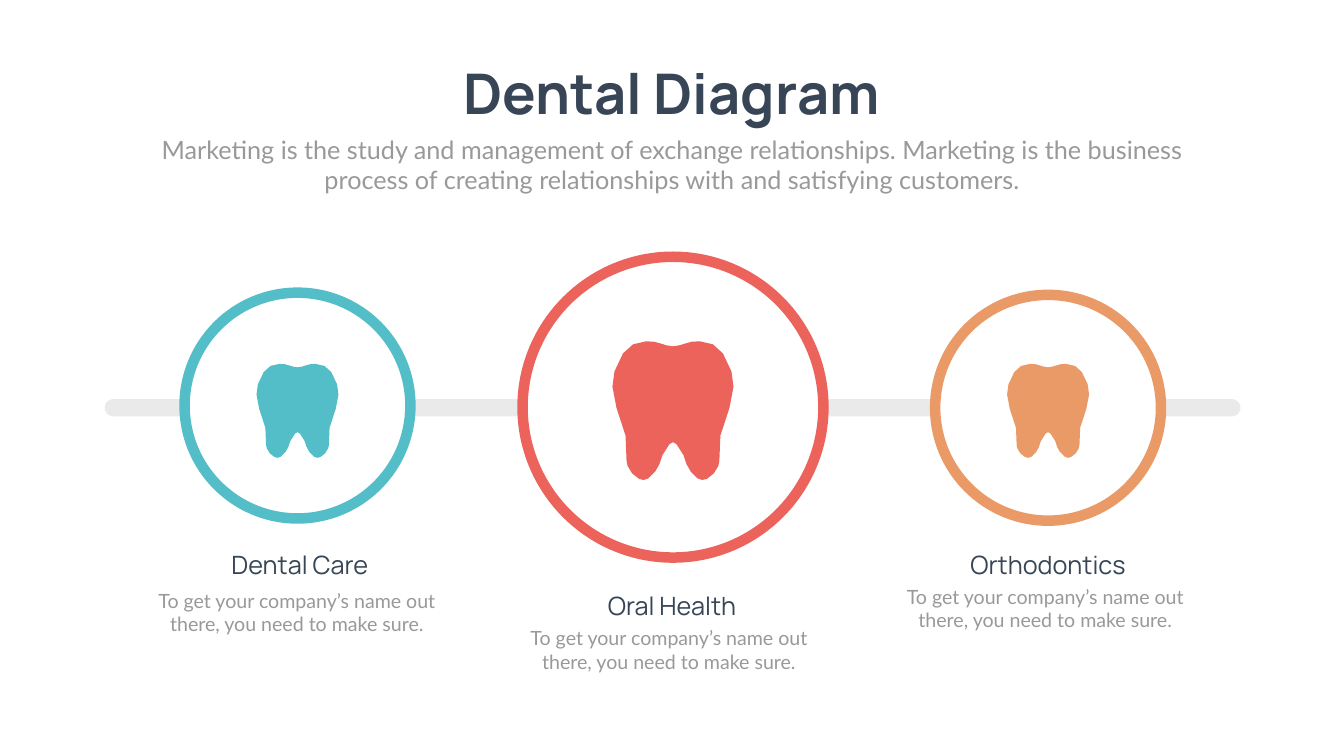
"""Build the dental diagram slide with three ringed teeth on a track."""
from dataclasses import dataclass

from pptx import Presentation
from pptx.dml.color import RGBColor
from pptx.enum.shapes import MSO_SHAPE
from pptx.enum.text import PP_ALIGN
from pptx.shapes.autoshape import Shape
from pptx.slide import Slide
from pptx.util import Cm, Pt

COLORS = {
    "background": "FEFFFE", "ink": "374556", "muted": "999999", "track": "EAEAEA",
    "white": "FFFFFF", "teal": "53BEC7", "red": "EB635B", "orange": "EA9A67",
}
FORMATS = {
    "title": {"name": "Manrope", "size": Pt(80), "bold": True},
    "subtitle": {"name": "Lato", "size": Pt(36), "bold": False},
    "heading": {"name": "Manrope", "size": Pt(36), "bold": False},
    "caption": {"name": "Lato", "size": Pt(28), "bold": False},
}
TEXT_COLORS = {"title": "ink", "subtitle": "muted", "heading": "ink", "caption": "muted"}

CAPTION = "To get your company’s name out there, you need to make sure."
TOOTH_WIDTH = 2.4
HALF_TOOTH = [
    (0, 0.1), (0.13, 0.08), (0.26, 0.04), (0.37, 0.01), (0.53, 0), (0.79, 0.06),
    (0.99, 0.24), (1.16, 0.6), (1.2, 0.9), (1.12, 1.32), (0.94, 1.87), (0.92, 2.37),
    (0.9, 2.47), (0.81, 2.62), (0.67, 2.73), (0.58, 2.75), (0.49, 2.72), (0.35, 2.58),
    (0.27, 2.44), (0.21, 2.26), (0.07, 2.04), (0, 2),
]
TOOTH = HALF_TOOTH + [(-x, y) for x, y in reversed(HALF_TOOTH[1:-1])]


@dataclass(frozen=True)
class Box:
    left: float
    top: float
    width: float
    height: float

    def lengths(self) -> tuple[Cm, Cm, Cm, Cm]:
        return Cm(self.left), Cm(self.top), Cm(self.width), Cm(self.height)


@dataclass(frozen=True)
class Stage:
    name: str
    color: str
    ring: Box
    tooth_top: float
    tooth_width: float
    heading: Box
    caption: Box


STAGES = [
    Stage("Dental Care", "teal", Box(9.3, 14.75, 11.38, 11.38), 18.34, 4.13,
          Box(10.97, 27.54, 8.28, 1.8), Box(7.32, 29.54, 15.27, 2.64)),
    Stage("Oral Health", "red", Box(26.33, 12.94, 15.16, 15.16), 17.2, 6.1,
          Box(29.72, 29.64, 8.28, 1.8), Box(26.07, 31.44, 15.27, 2.64)),
    Stage("Orthodontics", "orange", Box(47.12, 14.86, 11.38, 11.38), 18.34, 4.13,
          Box(47.12, 27.54, 11.38, 1.8), Box(45.03, 29.34, 15.27, 2.64)),
]


def rgb(color: str) -> RGBColor:
    return RGBColor.from_string(COLORS[color])


def add_text(slide: Slide, box: Box, text: str, role: str) -> None:
    frame = slide.shapes.add_textbox(*box.lengths()).text_frame
    frame.word_wrap = True
    paragraph = frame.paragraphs[0]
    paragraph.alignment = PP_ALIGN.CENTER
    run = paragraph.add_run()
    run.text = text
    for attribute, value in FORMATS[role].items():
        setattr(run.font, attribute, value)
    run.font.color.rgb = rgb(TEXT_COLORS[role])


def add_outlined(slide: Slide, preset: MSO_SHAPE, box: Box, color: str, weight: float) -> Shape:
    outlined = slide.shapes.add_shape(preset, *box.lengths())
    outlined.shadow.inherit = False
    outlined.line.color.rgb = rgb(color)
    outlined.line.width = Pt(weight)
    return outlined


def add_track(slide: Slide) -> None:
    track = add_outlined(slide, MSO_SHAPE.ROUNDED_RECTANGLE,
                         Box(5.66, 20.5, 56.46, 0.1), "track", 22)
    track.adjustments[0] = 0.5
    track.fill.background()


def add_ring(slide: Slide, stage: Stage) -> None:
    ring = add_outlined(slide, MSO_SHAPE.OVAL, stage.ring, stage.color, 15)
    ring.fill.solid()
    ring.fill.fore_color.rgb = rgb("white")


def add_tooth(slide: Slide, stage: Stage) -> None:
    center = stage.ring.left + stage.ring.width / 2
    scale = stage.tooth_width / TOOTH_WIDTH
    outline = [(Cm(center + x * scale), Cm(stage.tooth_top + y * scale)) for x, y in TOOTH]
    builder = slide.shapes.build_freeform(*outline[0])
    builder.add_line_segments(outline[1:], close=True)
    tooth = builder.convert_to_shape()
    tooth.shadow.inherit = False
    tooth.fill.solid()
    tooth.fill.fore_color.rgb = rgb(stage.color)
    tooth.line.fill.background()


def main() -> None:
    deck = Presentation()
    deck.slide_width, deck.slide_height = Cm(67.72), Cm(38.1)
    slide = deck.slides.add_slide(deck.slide_layouts[6])
    slide.background.fill.solid()
    slide.background.fill.fore_color.rgb = rgb("background")

    add_text(slide, Box(21.97, 2.84, 23.75, 3.68), "Dental Diagram", "title")
    add_text(slide, Box(7.42, 6.63, 52.88, 3.33),
             "Marketing is the study and management of exchange relationships. Marketing is "
             "the business process of creating relationships with and satisfying customers.",
             "subtitle")
    add_track(slide)
    for stage in STAGES:
        add_ring(slide, stage)
        add_text(slide, stage.caption, CAPTION, "caption")
        add_text(slide, stage.heading, stage.name, "heading")
        add_tooth(slide, stage)
    deck.save("out.pptx")


if __name__ == "__main__":
    main()
